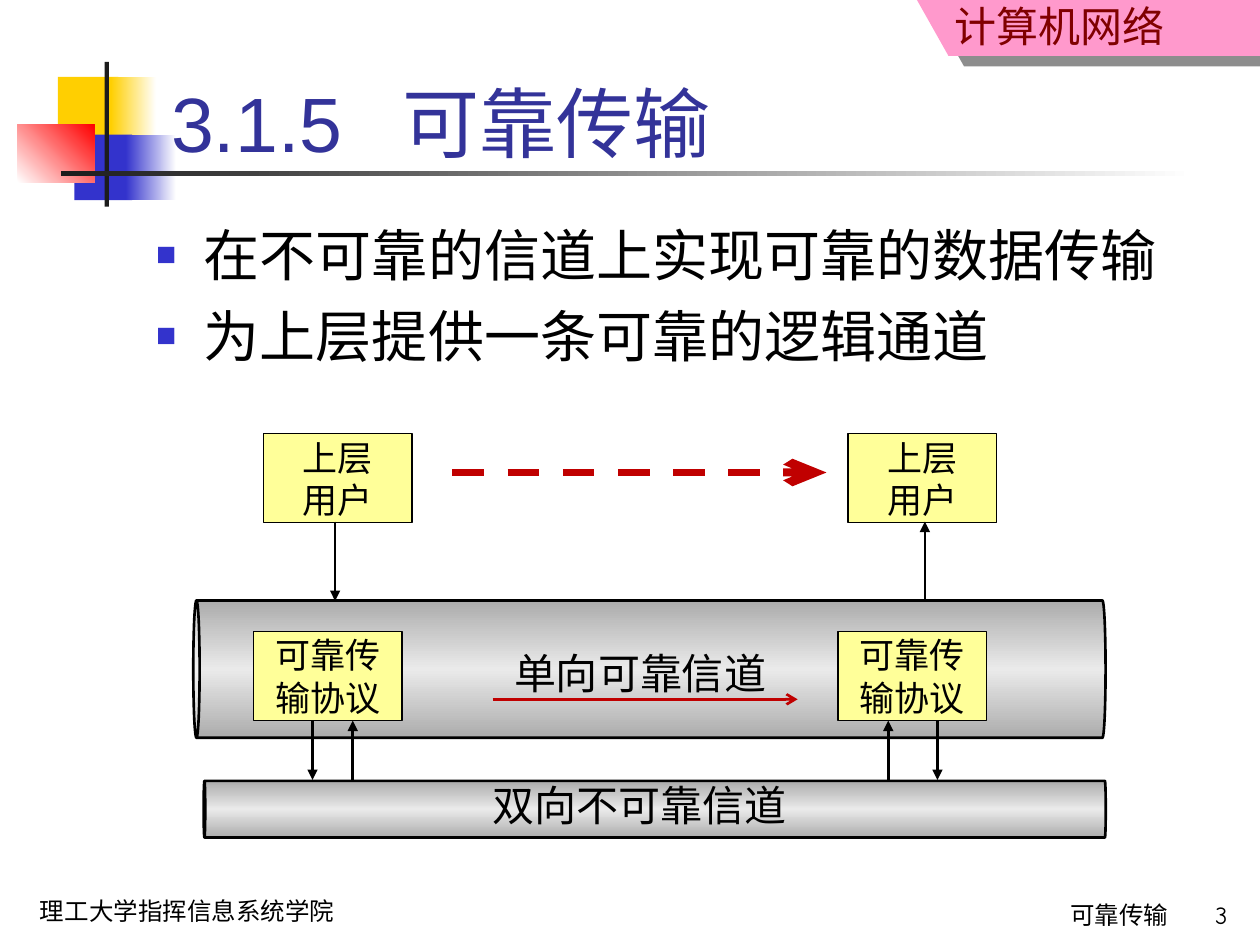
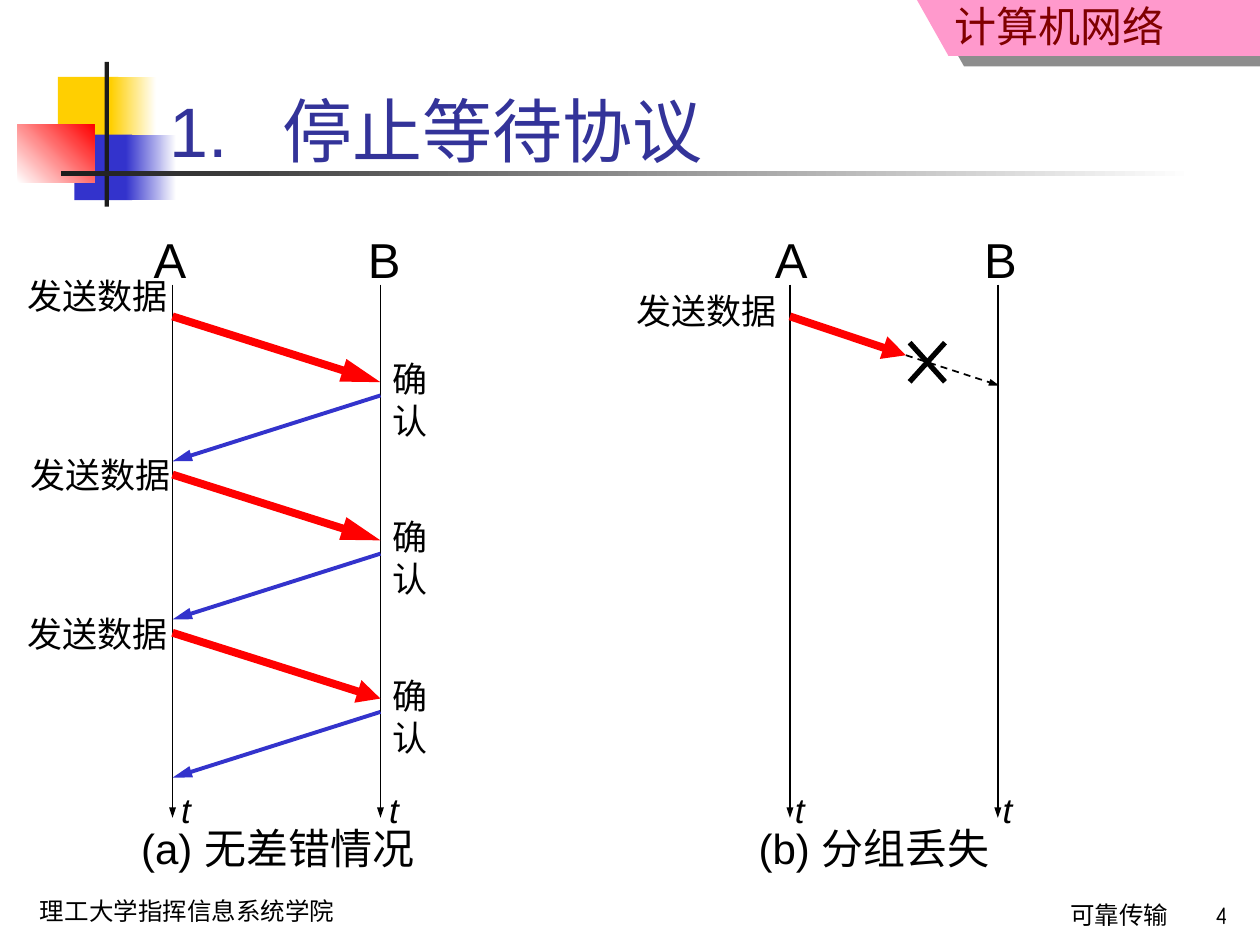
from lxml import etree
from pptx import Presentation
from pptx.dml.color import RGBColor
from pptx.enum.dml import MSO_LINE
from pptx.enum.shapes import MSO_CONNECTOR, MSO_SHAPE
from pptx.enum.text import MSO_ANCHOR, PP_ALIGN
from pptx.oxml import parse_xml
from pptx.oxml.ns import nsdecls, qn
from pptx.util import Pt

LEFT, MID, RIGHT = PP_ALIGN.LEFT, PP_ALIGN.CENTER, PP_ALIGN.RIGHT
TOP, CORE, LOW = MSO_ANCHOR.TOP, MSO_ANCHOR.MIDDLE, MSO_ANCHOR.BOTTOM
RECT, CAN = MSO_SHAPE.RECTANGLE, MSO_SHAPE.CAN
LINE, DASH = MSO_CONNECTOR.STRAIGHT, MSO_LINE.DASH

BLACK, DARK, WHITE = "000000", "1C1C1C", "FFFFFF"
GOLD, BLUE, RED, NAVY = "FFCF01", "3333CC", "FF0000", "333399"
PINK, WINE, CREAM, BRICK = "FF99CC", "800000", "FFFF99", "C00000"
STEEL = ("ACACAC", "EAEAEA", "ACACAC")
SANS, BODY, HAND, HAN = "Arial", "Lato", "Comic Neue", "Noto Sans CJK SC"


def tint(code):
    return RGBColor.from_string(code)


def node(tag, parent, **attrs):
    return etree.SubElement(parent, qn(tag), attrs)


class Deck:
    def __init__(self):
        self.prs = Presentation()
        self.prs.slide_width, self.prs.slide_height = Pt(720), Pt(540)
        self.page = None

    def start(self, num):
        self.page = self.prs.slides.add_slide(self.prs.slide_layouts[6])
        self.flag()
        self.text("计算机网络", 524, 0, 148.5, 32.4, 24, HAN, WINE, RIGHT, inset=0)
        self.text("理工大学指挥信息系统学院", 15.8, 508.3, 224, 24.5, 14, HAND)
        for x, y, w, h, fill in (
            (33.1, 43.9, 34.6, 37.4, GOLD),
            (63.4, 43.9, 25.9, 37.4, (GOLD, WHITE)),
            (42.5, 77, 33.1, 37.4, BLUE),
            (72, 77, 28.8, 37.4, (BLUE, WHITE)),
        ):
            self.shape(RECT, x, y, w, h, fill)
        self.shape(RECT, 10.1, 71.3, 43.9, 33.1, (WHITE, RED), angle=315)
        self.shape(RECT, 59.8, 35.3, 2.4, 82.8, DARK)
        self.shape(RECT, 34.6, 97.9, 648, 2.6, (DARK, WHITE))
        self.text("可靠传输", 308.9, 510.5, 365.8, 29.5, 14, HAN, align=RIGHT)
        self.text(str(num), 651.6, 510.5, 56.9, 27.4, 14, HAND, align=RIGHT)

    def flag(self):
        form = self.page.shapes.build_freeform(Pt(524), 0)
        form.add_line_segments([(Pt(542), Pt(31.9)), (Pt(720), Pt(31.9)), (Pt(720), 0)])
        flag = form.convert_to_shape()
        self.paint(flag, PINK)
        glow = node("a:outerShdw", flag._element.spPr.find(qn("a:effectLst")),
                    dist=str(Pt(10.8)), dir="2040000", algn="ctr", rotWithShape="0")
        tone = node("a:srgbClr", glow, val=DARK)
        node("a:alpha", tone, val="50000")

    def paint(self, shape, fill, line=None, angle=0):
        shape.shadow.inherit = False
        if isinstance(fill, str):
            shape.fill.solid()
            shape.fill.fore_color.rgb = tint(fill)
        else:
            self.blend(shape, fill, angle)
        if line:
            shape.line.color.rgb = tint(BLACK)
            shape.line.width = Pt(line)
        else:
            shape.line.fill.background()

    def blend(self, shape, tones, angle):
        grad = parse_xml(f'<a:gradFill {nsdecls("a")} rotWithShape="0"/>')
        stops = node("a:gsLst", grad)
        for i, tone in enumerate(tones):
            stop = node("a:gs", stops, pos=str(100000 * i // (len(tones) - 1)))
            node("a:srgbClr", stop, val=tone)
        node("a:lin", grad, ang=str(angle * 60000), scaled="0")
        shape._element.spPr.find(qn("a:prstGeom")).addnext(grad)

    def shape(self, kind, x, y, w, h, fill, line=None, angle=0):
        shape = self.page.shapes.add_shape(kind, Pt(x), Pt(y), Pt(w), Pt(h))
        self.paint(shape, fill, line, angle)
        return shape

    def pipe(self, x, y, w, h, bend):
        pipe = self.shape(CAN, x + (w - h) / 2, y - (w - h) / 2, h, w, STEEL, 1.5, 90)
        pipe.adjustments[0] = bend
        pipe.rotation = 270

    def fill(self, frame, words, size, font=SANS, color=BLACK, align=LEFT,
             slant=False, tab=None, dots=False):
        for i, line in enumerate(words.split("\n")):
            para = frame.paragraphs[0] if i == 0 else frame.add_paragraph()
            para.alignment = align
            props = para._p.get_or_add_pPr()
            if dots:
                props.set("marL", str(Pt(27.4)))
                props.set("indent", str(-Pt(27.4)))
                node("a:srgbClr", node("a:buClr", props), val=BLUE)
                node("a:buSzPct", props, val="60000")
                node("a:buFont", props, typeface=SANS)
                node("a:buChar", props, char="■")
                if i:
                    para.space_before = Pt(8)
            if tab:
                node("a:tab", node("a:tabLst", props), pos=str(Pt(tab)), algn="l")
            run = para.add_run()
            run.text = line
            run.font.size = Pt(size)
            run.font.name = font
            run.font.italic = slant
            run.font.color.rgb = tint(color)
            look = run._r.get_or_add_rPr()
            look.set("lang", "zh-CN")
            look.find(qn("a:latin")).addnext(look.makeelement(qn("a:ea"), typeface=BODY))

    def text(self, words, x, y, w, h, size, font=SANS, color=BLACK, align=LEFT,
             anchor=TOP, inset=3.6, wrap=True, **more):
        frame = self.page.shapes.add_textbox(Pt(x), Pt(y), Pt(w), Pt(h)).text_frame
        frame.word_wrap = wrap
        frame.vertical_anchor = anchor
        frame.margin_top = Pt(inset)
        self.fill(frame, words, size, font, color, align, **more)

    def title(self, words, x, y, w, h, size, tab):
        self.text(words, x, y, w, h, size, color=NAVY, anchor=LOW, tab=tab)

    def label(self, words, x, y, w, size=20, **more):
        self.text(words, x, y, w, size * 1.2 + 7.2, size, wrap=False, **more)

    def box(self, words, x, y):
        box = self.shape(RECT, x, y, 85, 51.1, CREAM, 0.75)
        box.text_frame.word_wrap = True
        box.text_frame.vertical_anchor = CORE
        self.fill(box.text_frame, words, 20, BODY, align=MID)

    def line(self, x1, y1, x2, y2, color=BLACK, width=1.5, head="triangle",
             wide="med", long="med", dash=None):
        line = self.page.shapes.add_connector(LINE, Pt(x1), Pt(y1), Pt(x2), Pt(y2))
        line.line.color.rgb = tint(color)
        line.line.width = Pt(width)
        if dash:
            line.line.dash_style = dash
        props = line._element.spPr
        if head:
            node("a:tailEnd", props.find(qn("a:ln")), type=head, w=wide, len=long)
        node("a:effectLst", props)

    def axes(self, x, names, shift, note):
        for i, name in enumerate("AB"):
            axis = x + 118.8 * i
            self.line(axis, 162.7, axis, 467.3, width=1, wide="sm")
            self.label(name, names[i], 127.4, 33.1, 28, align=MID)
            self.label("t", axis - shift, 447.1, 20.2, slant=True)
        self.label(note, x - 25, 466.6, 176, 24)


def trust(deck):
    deck.start(3)
    deck.title("3.1.5\t可靠传输", 90.7, 16.6, 613.4, 82.8, 44, 132)
    deck.text("在不可靠的信道上实现可靠的数据传输\n为上层提供一条可靠的逻辑通道",
              82.1, 122.4, 612, 380.2, 32, dots=True)
    deck.pipe(110.5, 343.1, 521.3, 78.5, 0.046)
    deck.text("单向可靠信道", 280.8, 366.5, 169.9, 36, 24, BODY, align=MID)
    deck.pipe(116.4, 446.2, 515.5, 32.4, 0.029)
    for x in (144.7, 478.8):
        deck.box("可靠传输协议", x, 360.7)
        deck.box("上层\n用户", x + 5.8, 247.7)
    deck.text("双向不可靠信道", 253.4, 442.1, 224.6, 36, 24, BODY, align=MID)
    for x, y1, y2 in ((178.6, 411.8, 445.7), (201.6, 445.7, 411.8),
                      (191.5, 298.1, 343.4), (507.6, 445.7, 411.8),
                      (535.7, 411.8, 445.7), (528.5, 343.4, 298.1)):
        deck.line(x, y1, x, y2)
    deck.line(281.5, 399.6, 455.8, 399.6, BRICK, head="arrow")
    deck.line(258.5, 270, 472.3, 270, BRICK, 4.5, "arrow", long="lg", dash=DASH)


def wait(deck):
    deck.start(4)
    deck.title("1.\t停止等待协议", 90, 33.8, 589, 67.7, 40, 64.5)
    a, b = 98.6, 217.4
    deck.axes(a, (80.6, 203), 2.2, "(a) 无差错情况")
    sends = ((8.6, 153.4, "lg"), (10.1, 255.6, "lg"), (8.6, 346.3, "med"))
    for i, (x, top, long) in enumerate(sends):
        y = 180.8 + 90.4 * i
        deck.line(a, y, b, y + 37.6, RED, 4.5, long=long)
        deck.line(b, y + 45.2, a, y + 82.8, BLUE, 2.25, long="lg")
        deck.label("发送数据", x, top, 94.3)
        deck.label("确认", b, y + 20, 54)
    a = 451.4
    deck.axes(a, (435.6, 555.1), 4.3, "(b) 分组丢失")
    deck.line(a, 180.8, 517.7, 203, RED, 4.5)
    deck.line(517.7, 203, 571, 220.3, width=1, wide="sm", dash=DASH)
    for x1, x2 in ((540, 519.8), (519.8, 540)):
        deck.line(x1, 195.8, x2, 218.2, width=3, head=None)
    deck.label("发送数据", 356.4, 162, 94.3)


def main():
    deck = Deck()
    trust(deck)
    wait(deck)
    deck.prs.save("out.pptx")


if __name__ == "__main__":
    main()
